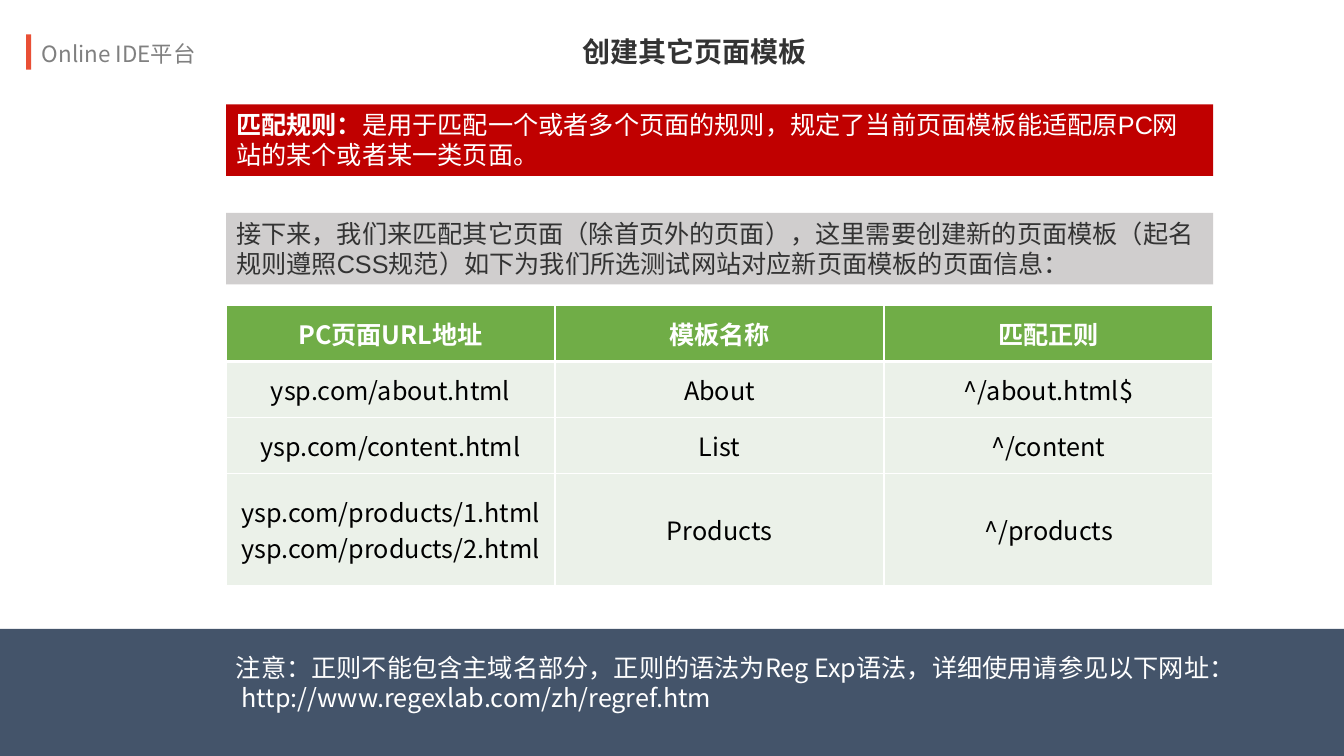
from lxml import etree
from pptx import Presentation
from pptx.dml.color import RGBColor
from pptx.enum import shapes, text
from pptx.oxml.ns import qn
from pptx.util import Pt

SANS = "Noto Sans CJK SC"
ARIAL = "Arial"
WHITE, DARK, GREEN, PALE = "FFFFFF", "333333", "70AD47", "EBF1E9"

TITLE = "创建其它页面模板"
PLATFORM = "Online IDE平台"
RULE_LABEL = "匹配规则："
RULE = "是用于匹配一个或者多个页面的规则，规定了当前页面模板能适配原PC网站的某个或者某一类页面。"
INTRO = ("接下来，我们来匹配其它页面（除首页外的页面），这里需要创建新的页面模板"
         "（起名规则遵照CSS规范）如下为我们所选测试网站对应新页面模板的页面信息：")
NOTE = ("注意：正则不能包含主域名部分，正则的语法为Reg Exp语法，"
        "详细使用请参见以下网址： http://www.regexlab.com/zh/regref.htm")
ROWS = [
    (["PC页面URL地址"], ["模板名称"], ["匹配正则"]),
    (["ysp.com/about.html"], ["About"], ["^/about.html$"]),
    (["ysp.com/content.html"], ["List"], ["^/content"]),
    (["ysp.com/products/1.html", "ysp.com/products/2.html"], ["Products"], ["^/products"]),
]

LEFT, WIDTH, BOX_HEIGHT = 161.5, 705, 51.1
ROW_HEIGHT = 40


def color(value):
    return RGBColor.from_string(value)


def add_text(paragraph, content, size=18, font=SANS, fill=WHITE, bold=False,
             align=text.PP_ALIGN.LEFT):
    paragraph.alignment = align
    run = paragraph.add_run()
    run.text = content
    run.font.size = Pt(size)
    run.font.bold = bold
    run.font.color.rgb = color(fill)
    run.font.name = font
    east_asian = etree.SubElement(run.font._element, qn("a:ea"))
    east_asian.set("typeface", SANS)


def set_frame(shape, wrap=True, anchor=text.MSO_ANCHOR.TOP, margins=(7.2, 3.6)):
    frame = shape.text_frame
    frame.word_wrap = wrap
    frame.auto_size = text.MSO_AUTO_SIZE.NONE
    frame.vertical_anchor = anchor
    frame.margin_left = frame.margin_right = Pt(margins[0])
    frame.margin_top = frame.margin_bottom = Pt(margins[1])
    return frame.paragraphs[0]


def add_box(slide, left, top, width, height, fill):
    shape = slide.shapes.add_shape(shapes.MSO_SHAPE.RECTANGLE,
                                   Pt(left), Pt(top), Pt(width), Pt(height))
    shape.shadow.inherit = False
    shape.fill.solid()
    shape.fill.fore_color.rgb = color(fill)
    shape.line.fill.background()
    return shape


def add_label(slide, left, top, width, height):
    return slide.shapes.add_textbox(Pt(left), Pt(top), Pt(width), Pt(height))


def add_borders(cell, bottom):
    properties = cell._tc.get_or_add_tcPr()
    for side, width in (("L", 1), ("R", 1), ("T", 1), ("B", bottom)):
        line = etree.SubElement(properties, qn(f"a:ln{side}"), w=str(Pt(width)))
        fill = etree.SubElement(line, qn("a:solidFill"))
        etree.SubElement(fill, qn("a:srgbClr"), val=WHITE)


def add_page_table(slide):
    heights = [ROW_HEIGHT * max(len(lines) for lines in row) for row in ROWS]
    columns = len(ROWS[0])
    table = slide.shapes.add_table(len(ROWS), columns, Pt(LEFT), Pt(218.2),
                                   Pt(WIDTH), Pt(sum(heights))).table
    for column in table.columns:
        column.width = Pt(WIDTH / columns)
    for row_index, row in enumerate(ROWS):
        header = row_index == 0
        table.rows[row_index].height = Pt(heights[row_index])
        for column_index, lines in enumerate(row):
            cell = table.cell(row_index, column_index)
            add_borders(cell, bottom=3 if header else 1)
            cell.fill.solid()
            cell.fill.fore_color.rgb = color(GREEN if header else PALE)
            cell.vertical_anchor = text.MSO_ANCHOR.MIDDLE
            frame = cell.text_frame
            for line_index, line in enumerate(lines):
                paragraph = frame.add_paragraph() if line_index else frame.paragraphs[0]
                add_text(paragraph, line, fill=WHITE if header else "000000",
                         bold=header, align=text.PP_ALIGN.CENTER)


def main():
    presentation = Presentation()
    presentation.slide_width, presentation.slide_height = Pt(960), Pt(540)
    slide = presentation.slides.add_slide(presentation.slide_layouts[5])

    add_box(slide, 0, 449.2, 967, 90.8, "44546A")

    title = slide.shapes.title
    title.left, title.top, title.width, title.height = Pt(409), Pt(20.9), Pt(176.4), Pt(31.7)
    add_text(set_frame(title, wrap=False), TITLE, size=20, fill=DARK, bold=True)

    intro = add_box(slide, LEFT, 152.1, WIDTH, BOX_HEIGHT, "D0CECE")
    add_text(set_frame(intro), INTRO, font=ARIAL, fill=DARK)

    add_page_table(slide)

    note = add_label(slide, LEFT, 462.2, 727.2, BOX_HEIGHT)
    add_text(set_frame(note), NOTE)

    rule = set_frame(add_box(slide, LEFT, 74.6, WIDTH, BOX_HEIGHT, "C00000"))
    add_text(rule, RULE_LABEL, font=ARIAL, bold=True)
    add_text(rule, RULE, font=ARIAL)

    platform = add_label(slide, 30, 28.3, 119.5, 19.4)
    add_text(set_frame(platform, anchor=text.MSO_ANCHOR.MIDDLE, margins=(0, 0)),
             PLATFORM, size=16, fill="808080")
    add_box(slide, 18.7, 24.5, 3.6, 25.2, "E94F35")

    presentation.save("out.pptx")


if __name__ == "__main__":
    main()
